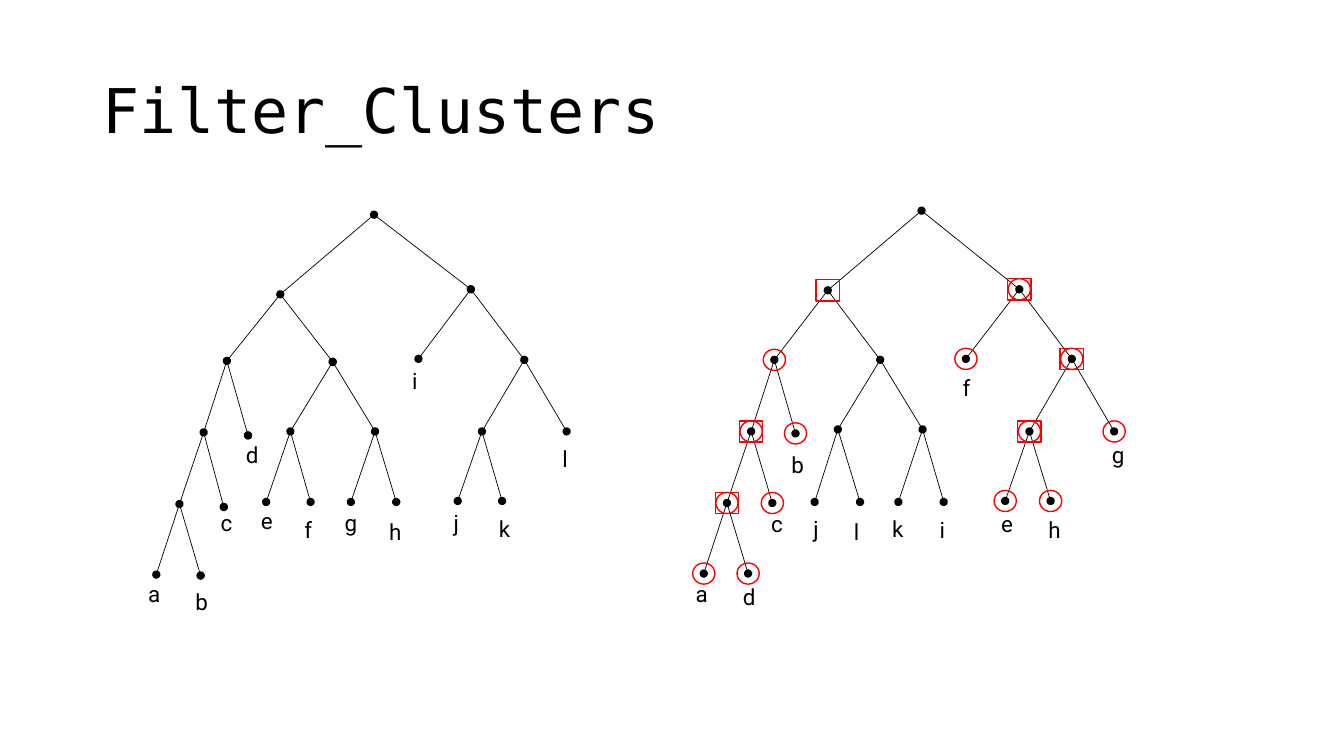
from collections import namedtuple

from lxml.etree import SubElement
from pptx import Presentation
from pptx.dml.color import RGBColor
from pptx.enum.shapes import MSO_CONNECTOR as Connector, MSO_SHAPE as Preset
from pptx.enum.text import MSO_ANCHOR as Anchor, MSO_AUTO_SIZE as AutoSize, PP_ALIGN as Align
from pptx.oxml.ns import qn
from pptx.util import Pt

PX = 9144  # EMU per px, 100 px to the inch
DOT_SIZE = 7
CIRCLE_SIZE = (22, 21)
SQUARE_SIZE = (23, 21)
LABEL_HEIGHT = 37
LABEL_WIDTHS = dict(a=32, b=31, c=29, d=32, e=29, f=27, g=31, h=32, i=27, j=26, k=31, l=26)

Theme = namedtuple("Theme", "ink mark title_font label_font title_size label_size edge_width mark_width")
theme = Theme(
    ink=RGBColor(0, 0, 0), mark=RGBColor(255, 0, 0),
    title_font="DejaVu Sans Mono", label_font="Roboto",
    title_size=Pt(44), label_size=Pt(16), edge_width=Pt(0.5), mark_width=Pt(1),
)

# Inner nodes are named by their path from the root, leaves by their letter.
# The marks are "dot", "circle" and "square"; the label is its left and top.
Node = namedtuple("Node", "name parent x y marks label", defaults=("", None))
initial_tree = [
    Node("root", None, 371, 213),
    Node("L", "root", 278, 292),
    Node("R", "root", 467, 287, "dot"),
    Node("LL", "L", 225, 358),
    Node("LR", "L", 330, 359, "dot"),
    Node("i", "R", 415, 356, "", (399, 359)),
    Node("RR", "R", 520, 357),
    Node("LLL", "LL", 202, 429),
    Node("d", "LL", 246, 432, "dot", (234, 433)),
    Node("LRL", "LR", 288, 428),
    Node("LRR", "LR", 372, 428),
    Node("RRL", "RR", 478, 428),
    Node("l", "RR", 562, 428, "", (548, 437)),
    Node("LLLL", "LLL", 178, 500),
    Node("c", "LLL", 222, 503, "dot", (209, 500)),
    Node("e", "LRL", 264, 498, "", (249, 498)),
    Node("f", "LRL", 308, 498, "", (292, 507)),
    Node("g", "LRR", 348, 498, "", (332, 500)),
    Node("h", "LRR", 393, 498, "", (376, 509)),
    Node("j", "RRL", 454, 497, "", (440, 500)),
    Node("k", "RRL", 498, 497, "", (485, 506)),
    Node("a", "LLLL", 155, 570, "", (137, 571)),
    Node("b", "LLLL", 199, 571, "dot", (184, 579)),
]
filtered_tree = [
    Node("root", None, 914, 209),
    Node("L", "root", 821, 288, "square"),
    Node("R", "root", 1011, 287, "square circle"),
    Node("LL", "L", 768, 357, "circle"),
    Node("LR", "L", 873, 357),
    Node("f", "R", 958, 356, "circle", (945, 366)),
    Node("RR", "R", 1063, 356, "square circle"),
    Node("LLL", "LL", 745, 428, "square circle"),
    Node("b", "LL", 789, 430, "circle", (775, 443)),
    Node("LRL", "LR", 831, 426),
    Node("LRR", "LR", 915, 426),
    Node("RRL", "RR", 1021, 428, "square circle"),
    Node("g", "RR", 1105, 428, "circle", (1093, 433)),
    Node("LLLL", "LLL", 721, 499, "square circle"),
    Node("c", "LLL", 766, 499, "circle", (755, 501)),
    Node("j", "LRL", 808, 498, "", (797, 506)),
    Node("l", "LRL", 853, 498, "", (837, 509)),
    Node("k", "LRR", 891, 498, "", (875, 506)),
    Node("i", "LRR", 936, 498, "", (922, 507)),
    Node("e", "RRL", 997, 497, "circle", (983, 501)),
    Node("h", "RRL", 1042, 497, "circle", (1030, 507)),
    Node("a", "LLLL", 698, 569, "circle", (680, 571)),
    Node("d", "LLLL", 742, 569, "circle", (727, 574)),
]

presentation = Presentation()
presentation.slide_width = 1333 * PX
presentation.slide_height = 750 * PX
slide = presentation.slides.add_slide(presentation.slide_layouts[5])


def add_run(paragraph, text, font, size):
    run = paragraph.add_run()
    run.text = text
    run.font.name = font
    run.font.size = size
    run.font.color.rgb = theme.ink


def add_mark(preset, node, width, height, color, filled=False):
    """Add an outline or a solid shape centred on a node."""
    left, top = node.x * PX - width * PX // 2, node.y * PX - height * PX // 2
    shape = slide.shapes.add_shape(preset, left, top, width * PX, height * PX)
    shape.shadow.inherit = False
    shape.line.color.rgb = color
    shape.line.width = theme.mark_width
    if filled:
        shape.fill.solid()
        shape.fill.fore_color.rgb = color
    else:
        shape.fill.background()


title = slide.shapes.title
title.left, title.top, title.width, title.height = 92 * PX, 40 * PX, 1150 * PX, 145 * PX
title.text_frame.auto_size = AutoSize.NONE
title.text_frame.vertical_anchor = Anchor.MIDDLE
title_paragraph = title.text_frame.paragraphs[0]
title_paragraph.alignment = Align.LEFT
title_paragraph.line_spacing = 0.9
add_run(title_paragraph, "Filter_Clusters", theme.title_font, theme.title_size)

for tree in (initial_tree, filtered_tree):
    nodes = {node.name: node for node in tree}

    for node in tree[1:]:
        parent = nodes[node.parent]
        edge = slide.shapes.add_connector(
            Connector.STRAIGHT, node.x * PX, node.y * PX, parent.x * PX, parent.y * PX)
        edge.line.color.rgb = theme.ink
        edge.line.width = theme.edge_width
        properties = edge.element.spPr
        outline = properties.find(qn("a:ln"))
        if "dot" not in node.marks:
            SubElement(outline, qn("a:headEnd"), type="oval")
        if node.name == "L":
            SubElement(outline, qn("a:tailEnd"), type="oval")
        SubElement(properties, qn("a:effectLst"))

    for node in tree:
        if node.label:
            left, top = node.label
            label = slide.shapes.add_textbox(
                left * PX, top * PX, LABEL_WIDTHS[node.name] * PX, LABEL_HEIGHT * PX)
            label.text_frame.word_wrap = False
            label.text_frame.auto_size = AutoSize.SHAPE_TO_FIT_TEXT
            add_run(label.text_frame.paragraphs[0], node.name, theme.label_font, theme.label_size)
        if "dot" in node.marks:
            add_mark(Preset.OVAL, node, DOT_SIZE, DOT_SIZE, theme.ink, filled=True)
        if "square" in node.marks:
            add_mark(Preset.RECTANGLE, node, *SQUARE_SIZE, theme.mark)
        if "circle" in node.marks:
            add_mark(Preset.OVAL, node, *CIRCLE_SIZE, theme.mark)

presentation.save("out.pptx")
